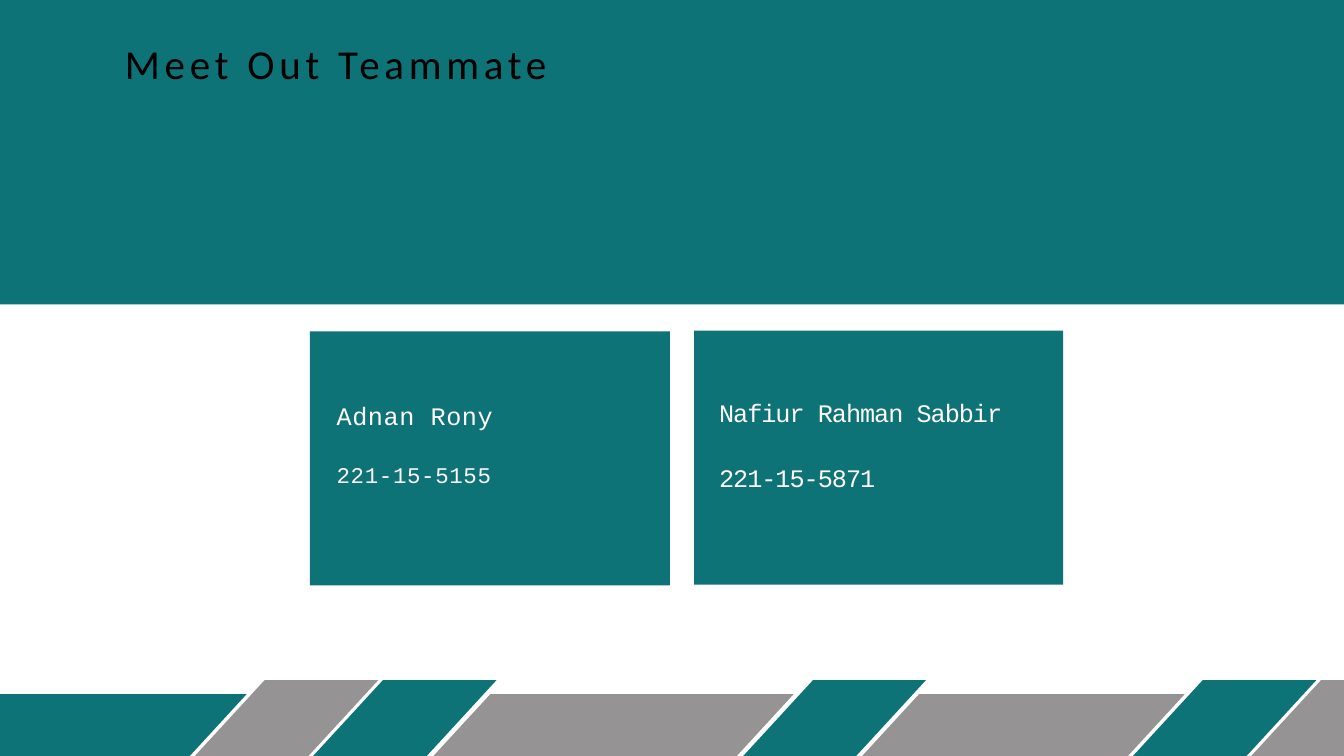
from pptx import Presentation
from pptx.dml.color import RGBColor
from pptx.enum import shapes, text
from pptx.util import Inches, Pt

TEAL = RGBColor(0x0D, 0x73, 0x77)
GRAY = RGBColor(0x95, 0x93, 0x93)
SNOW = RGBColor(0xFF, 0xFA, 0xFA)
BLACK = RGBColor(0, 0, 0)

SLIDE_W, SLIDE_H = 20, 11.25
SLANT = 0.92
LOW, TALL = 0.92, 1.13


def paint(sp, color):
    """Give a shape a flat fill without line or shadow."""
    sp.fill.solid()
    sp.fill.fore_color.rgb = color
    sp.line.fill.background()
    sp.shadow.inherit = False


def add_block(s, box, color):
    """Draw a plain rectangle in the given box."""
    sp = s.shapes.add_shape(shapes.MSO_SHAPE.RECTANGLE, *map(Inches, box))
    paint(sp, color)


def add_textbox(s, box, anchor=text.MSO_ANCHOR.TOP):
    """Add a wrapping text box without margins and return its frame."""
    tf = s.shapes.add_textbox(*map(Inches, box)).text_frame
    tf.word_wrap = True
    tf.vertical_anchor = anchor
    tf.margin_left = tf.margin_right = tf.margin_top = tf.margin_bottom = 0
    return tf


def add_run(p, words, font, size, color, spacing):
    """Append a run with its font and letter spacing in points."""
    r = p.add_run()
    r.text = words
    r.font.name = font
    r.font.size = Pt(size)
    r.font.color.rgb = color
    r.font._element.set("spc", str(round(spacing * 100)))


def add_header(s, box):
    """Fill the header band and set the title in it."""
    add_block(s, box, TEAL)
    left, top = box[:2]
    tf = add_textbox(s, (left + 0.5, top + 0.56, 9, 0.75), text.MSO_ANCHOR.MIDDLE)
    p = tf.paragraphs[0]
    p.alignment = text.PP_ALIGN.CENTER
    add_run(p, "Meet Out Teammate", "Calibri", 44, BLACK, 5.1)


def add_card(s, box, offset, lines, gap, line_height=None):
    """Draw a teammate card with its name and number."""
    add_block(s, box, TEAL)
    left, top, width, height = box
    dx, dy = offset
    tf = add_textbox(s, (left + dx, top + dy, width - dx, 1.4))
    for i, (words, size, spacing) in enumerate(lines):
        p = tf.add_paragraph() if i else tf.paragraphs[0]
        if i:
            p.space_before = Pt(gap)
        if line_height:
            p.line_spacing = Pt(line_height)
        add_run(p, words, "Courier New", size, SNOW, spacing)


def add_stripe(s, left, right, height, color):
    """Draw a slanted stripe on the bottom edge, cut at the slide sides."""
    top, shift = SLIDE_H - height, SLANT * height
    bottom_left, top_left = (left, left + shift) if left > 0 else (0, 0)
    bottom_right, top_right = (right - shift, right) if right < SLIDE_W else (SLIDE_W, SLIDE_W)
    points = [(bottom_right, SLIDE_H), (bottom_left, SLIDE_H), (top_left, top), (top_right, top)]
    corners = [(Inches(x), Inches(y)) for x, y in points]
    builder = s.shapes.build_freeform(*corners[0])
    builder.add_line_segments(corners[1:], close=True)
    paint(builder.convert_to_shape(), color)


def add_footer(s):
    """Lay the stripes along the foot of the slide."""
    for left, right, height, color in (
        (12.83, 17.63, LOW, GRAY),
        (6.45, 11.81, LOW, GRAY),
        (16.86, 19.59, TALL, TEAL),
        (18.62, SLIDE_W, TALL, GRAY),
        (0, 3.67, LOW, TEAL),
        (2.9, 5.63, TALL, GRAY),
        (11.06, 13.78, TALL, TEAL),
        (4.66, 7.39, TALL, TEAL),
    ):
        add_stripe(s, left, right, height, color)


def main():
    """Build the teammate slide."""
    prs = Presentation()
    prs.slide_width, prs.slide_height = Inches(SLIDE_W), Inches(SLIDE_H)
    s = prs.slides.add_slide(prs.slide_layouts[6])
    add_footer(s)
    add_header(s, (0, 0, SLIDE_W, 4.53))
    add_card(s, (10.33, 4.92, 5.49, 3.78), (0.37, 1),
             [("Nafiur Rahman Sabbir", 27, -1.1), ("221-15-5871", 27, -1.1)], 37.3, 32.3)
    add_card(s, (4.61, 4.93, 5.36, 3.78), (0.4, 1.03),
             [("Adnan Rony", 27, 0.6), ("221-15-5155", 24, 0.7)], 32)
    prs.save("out.pptx")


if __name__ == "__main__":
    main()
